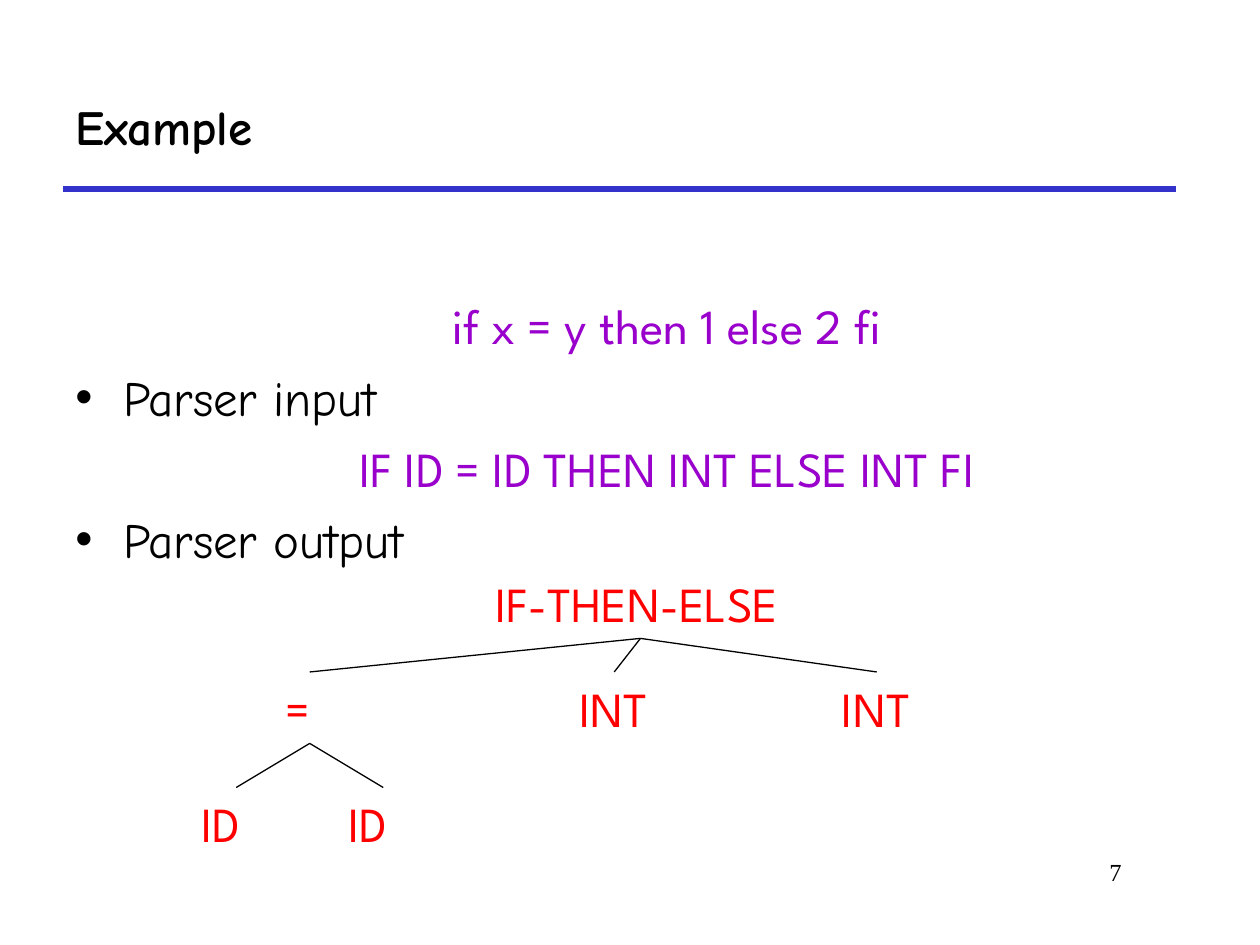
from dataclasses import dataclass

from lxml.etree import SubElement
from pptx import Presentation
from pptx.dml.color import RGBColor
from pptx.enum.shapes import MSO_CONNECTOR as Connector
from pptx.enum.text import MSO_ANCHOR as Anchor, PP_ALIGN as Align
from pptx.oxml.ns import qn
from pptx.util import Inches, Pt

COLUMNS, ROWS = 120, 90
WIDTH, HEIGHT = Inches(10), Inches(7.5)


@dataclass(frozen=True)
class Theme:
    black: str = "000000"
    rule: str = "3333CC"
    code: str = "9900CC"
    tree: str = "FF0000"
    prose_font: str = "Comic Neue"
    code_font: str = "League Spartan"
    number_font: str = "Times New Roman"
    text_size: float = 28
    number_size: float = 14
    rule_width: float = 3
    branch_width: float = 0.75
    space_before: float = 7


@dataclass(frozen=True)
class Style:
    font: str
    color: str
    size: float = Theme.text_size
    bold: bool = False


@dataclass(frozen=True)
class Node:
    """A tree label; left, top and width are in grid columns and rows."""
    label: str
    left: float
    top: float
    width: float = 9
    children: tuple["Node", ...] = ()

    @property
    def center(self) -> float:
        return self.left + self.width / 2


THEME = Theme()
PROSE = Style(THEME.prose_font, THEME.black)
TITLE = Style(THEME.prose_font, THEME.black, bold=True)
CODE = Style(THEME.code_font, THEME.code)
TREE = Style(THEME.code_font, THEME.tree)
NUMBER = Style(THEME.number_font, THEME.black, THEME.number_size)
NODE_HEIGHT = 6.8

BODY = (
    ("if x = y then 1 else 2 fi", CODE),
    ("Parser input", PROSE),
    ("IF ID = ID THEN INT ELSE INT FI", CODE),
    ("Parser output", PROSE),
)
PARSE_TREE = Node("IF-THEN-ELSE", 46, 54, 30, (
    Node("=", 26, 64, 7, (Node("ID", 18, 75), Node("ID", 32, 75))),
    Node("INT", 54, 64),
    Node("INT", 79, 64),
))


def x(columns: float) -> int:
    return round(WIDTH * columns / COLUMNS)


def y(rows: float) -> int:
    return round(HEIGHT * rows / ROWS)


def add_box(page, left: float, top: float, width: float, height: float):
    frame = page.shapes.add_textbox(x(left), y(top), x(width), y(height)).text_frame
    frame.word_wrap = True
    return frame


def add_span(para, text: str, style: Style) -> None:
    span = para.add_run()
    span.text = text
    font = span.font
    font.name, font.size, font.bold = style.font, Pt(style.size), style.bold
    font.color.rgb = RGBColor.from_string(style.color)


def add_line(page, start: tuple, end: tuple, color: str, width: float) -> None:
    line = page.shapes.add_connector(
        Connector.STRAIGHT, x(start[0]), y(start[1]), x(end[0]), y(end[1]))
    line.line.color.rgb = RGBColor.from_string(color)
    line.line.width = Pt(width)
    SubElement(line._element.spPr, qn("a:effectLst"))


def indent(para, margin: float, hanging: float, bullet: str = "") -> None:
    props = para._p.get_or_add_pPr()
    props.set("marL", str(Inches(margin)))
    props.set("indent", str(-Inches(hanging)))
    if bullet:
        SubElement(props, qn("a:buFont")).set("typeface", "Arial")
        SubElement(props, qn("a:buChar")).set("char", bullet)
    else:
        SubElement(props, qn("a:buNone"))


def add_body(page) -> None:
    frame = add_box(page, 6, 27.6, 109, 51.4)
    for index, (text, style) in enumerate(BODY):
        para = frame.add_paragraph() if index else frame.paragraphs[0]
        para.space_before = Pt(THEME.space_before)
        if style is CODE:
            para.alignment = Align.CENTER
            indent(para, 0.81, 0.31)
        else:
            indent(para, 0.38, 0.38, "•")
        add_span(para, text, style)


def add_tree(page, node: Node) -> None:
    """Draw a node, then a branch to each child and the child's own tree."""
    frame = add_box(page, node.left, node.top, node.width, NODE_HEIGHT)
    add_span(frame.paragraphs[0], node.label, TREE)
    for child in node.children:
        add_line(page, (node.center, node.top + NODE_HEIGHT), (child.center, child.top),
                 THEME.black, THEME.branch_width)
        add_tree(page, child)


def main() -> None:
    deck = Presentation()
    deck.slide_width, deck.slide_height = WIDTH, HEIGHT
    page = deck.slides.add_slide(deck.slide_layouts[6])

    add_line(page, (6, 18), (112, 18), THEME.rule, THEME.rule_width)
    number = add_box(page, 91, 81, 17, 6).paragraphs[0]
    number.alignment = Align.RIGHT
    add_span(number, "7", NUMBER)

    title = add_box(page, 6, 6, 106, 12)
    title.vertical_anchor = Anchor.MIDDLE
    add_span(title.paragraphs[0], "Example", TITLE)

    add_body(page)
    add_tree(page, PARSE_TREE)
    deck.save("out.pptx")


if __name__ == "__main__":
    main()
